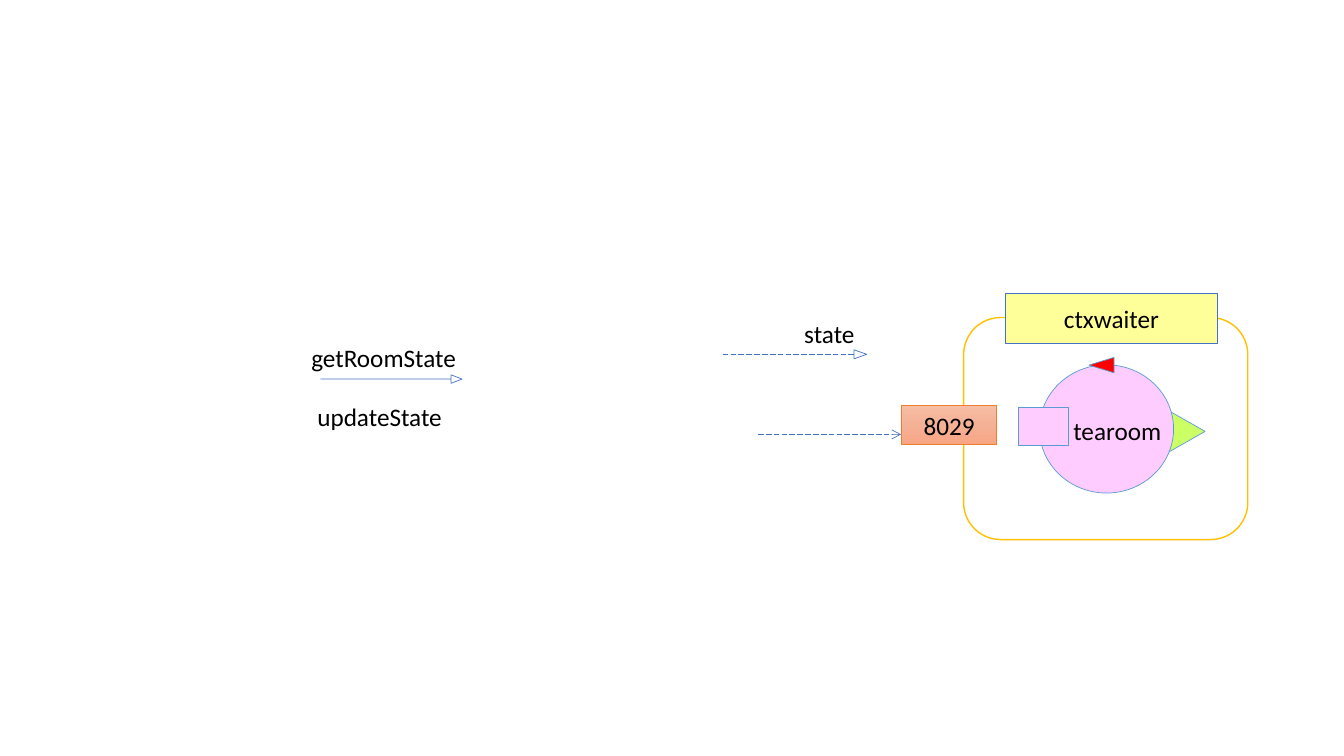
import copy
import pptx
import pptx.util
import pptx.dml.color
import pptx.enum.dml
import pptx.enum.shapes
import pptx.enum.text
import pptx.oxml
import pptx.oxml.ns

Pt = pptx.util.Pt
SHAPE = pptx.enum.shapes.MSO_SHAPE
THEME = {
    "font": "Calibri", "size": 18, "text": "000000",
    "white": "FFFFFF", "context": "FFC000", "title": "FFFF99",
    "actor": "FFCCFF", "output": "CCFF66", "event": "FF0000",
    "edge": "5B9BD5", "flow": "4472C4", "port": "ED7D31",
    "port_fill": ["F7BDA5", "F5B196", "F8A582"],
    "thin": 0.5, "thick": 1,
}


def rgb(name):
    return pptx.dml.color.RGBColor.from_string(THEME.get(name, name))


def add_part(kind, box, fill, line, weight="thin", rotation=0, label=""):
    part = slide.shapes.add_shape(kind, *map(Pt, box))
    part.shadow.inherit = False
    part.rotation = rotation
    if fill:
        part.fill.solid()
        part.fill.fore_color.rgb = rgb(fill)
    else:
        part.fill.background()
    part.line.color.rgb = rgb(line)
    part.line.width = Pt(THEME[weight])
    if label:
        part.text_frame.text = label
        part.text_frame.vertical_anchor = pptx.enum.text.MSO_ANCHOR.MIDDLE
        paragraph = part.text_frame.paragraphs[0]
        paragraph.alignment = pptx.enum.text.PP_ALIGN.CENTER
        paragraph.font.name = THEME["font"]
        paragraph.font.size = Pt(THEME["size"])
        paragraph.font.color.rgb = rgb("text")
    return part


deck = pptx.Presentation()
deck.slide_width, deck.slide_height = Pt(960), Pt(540)
slide = deck.slides.add_slide(deck.slide_layouts[6])

add_part(SHAPE.ROUNDED_RECTANGLE, (688.3, 226.8, 203, 158.6), "white", "context", "thick")
add_part(SHAPE.ISOSCELES_TRIANGLE, (787, 273.6, 78.5, 69.1), "output", "edge", rotation=90)
add_part(SHAPE.OVAL, (742.5, 260.6, 95.8, 91.6), "actor", "edge")
add_part(SHAPE.RECTANGLE, (727.4, 290.9, 36, 27), "actor", "edge")
add_part(SHAPE.ISOSCELES_TRIANGLE, (781.3, 251.8, 11, 18), "event", "edge", rotation=270)
add_part(SHAPE.RECTANGLE, (718.2, 209.5, 151.4, 36), "title", "flow", label="ctxwaiter")

port = add_part(SHAPE.RECTANGLE, (644, 289.4, 68, 28.4), None, "port", label="8029")
port.fill.gradient()
port.fill.gradient_angle = 270
stops = port.fill.gradient_stops
stop_list = port.fill._fill._gradFill.find(pptx.oxml.ns.qn("a:gsLst"))
stop_list.insert(1, copy.deepcopy(stop_list[0]))
for stop, color, position in zip(port.fill.gradient_stops, THEME["port_fill"], (0, 0.5, 1)):
    stop.color.rgb = rgb(color)
    stop.position = position

for left, right, y, has_arrow in [(541.4, 643.7, 310.3, True), (516.3, 609.9, 253, False)]:
    flow = slide.shapes.add_connector(
        pptx.enum.shapes.MSO_CONNECTOR.STRAIGHT, Pt(left), Pt(y), Pt(right), Pt(y))
    flow.line.color.rgb = rgb("flow")
    flow.line.width = Pt(THEME["thin"])
    flow.line.dash_style = pptx.enum.dml.MSO_LINE.LONG_DASH
    if has_arrow:
        tail = pptx.oxml.parse_xml(
            '<a:tailEnd %s type="arrow"/>' % pptx.oxml.ns.nsdecls("a"))
        flow.line._get_or_add_ln().append(tail)
    flow._element.spPr.append(
        pptx.oxml.parse_xml("<a:effectLst %s/>" % pptx.oxml.ns.nsdecls("a")))

request = add_part(SHAPE.RIGHT_ARROW, (229.1, 267.8, 101, 6), None, "flow")
request.adjustments[0] = 0
request.adjustments[1] = 1.31
add_part(SHAPE.ISOSCELES_TRIANGLE, (611.3, 248.5, 6.5, 9.2), None, "flow", rotation=90)

for message, left, top, width in [
    ("tearoom", 759.6, 293, 77.8),
    ("getRoomState", 215.3, 241, 118.8),
    ("state", 567.4, 223.9, 50.4),
    ("updateState", 219.6, 283, 104.4),
]:
    label = slide.shapes.add_textbox(Pt(left), Pt(top), Pt(width), Pt(29))
    label.text_frame.word_wrap = False
    label.text_frame.auto_size = pptx.enum.text.MSO_AUTO_SIZE.SHAPE_TO_FIT_TEXT
    label.text_frame.text = message
    font = label.text_frame.paragraphs[0].font
    font.name = THEME["font"]
    font.size = Pt(THEME["size"])
    font.color.rgb = rgb("text")

deck.save("out.pptx")
